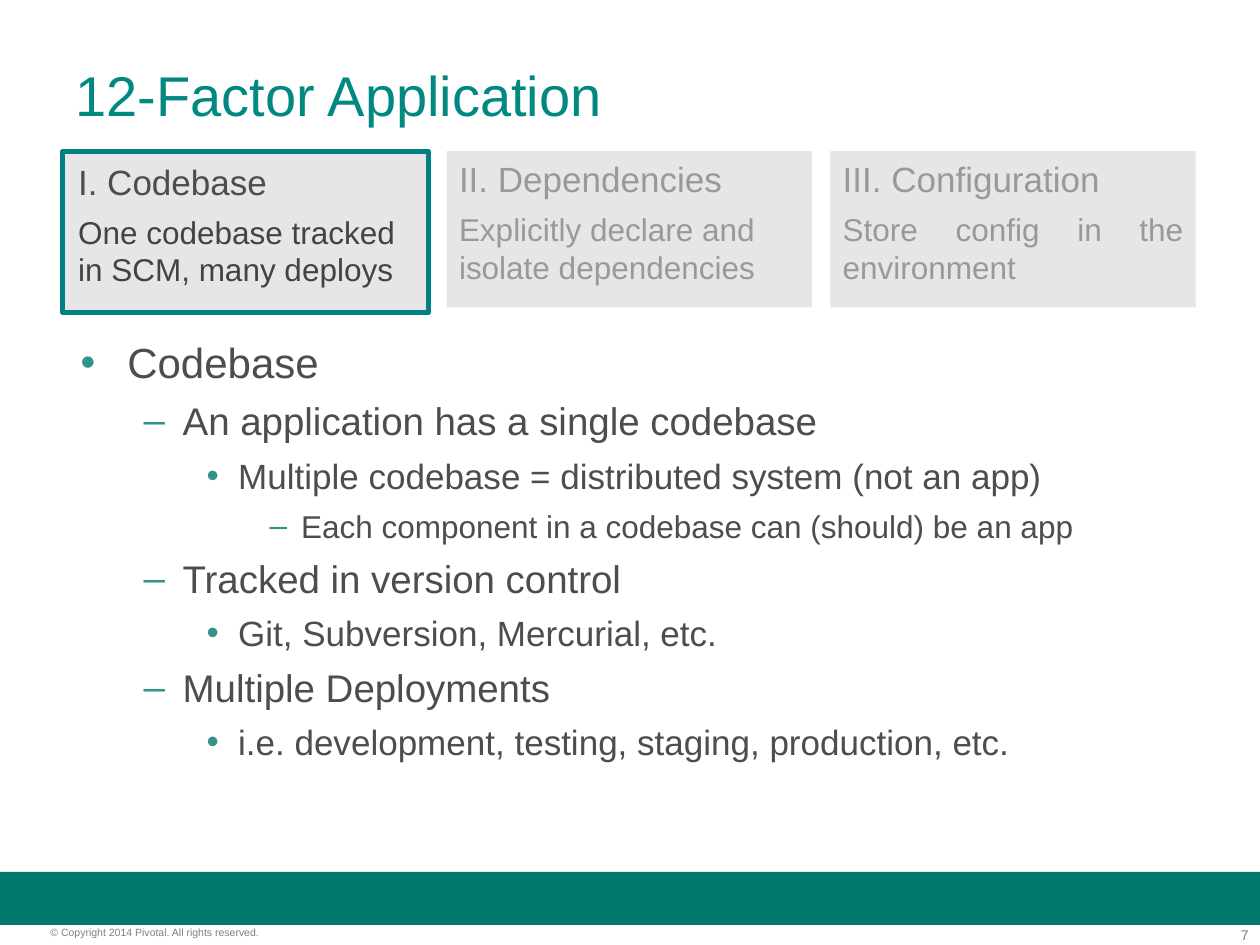
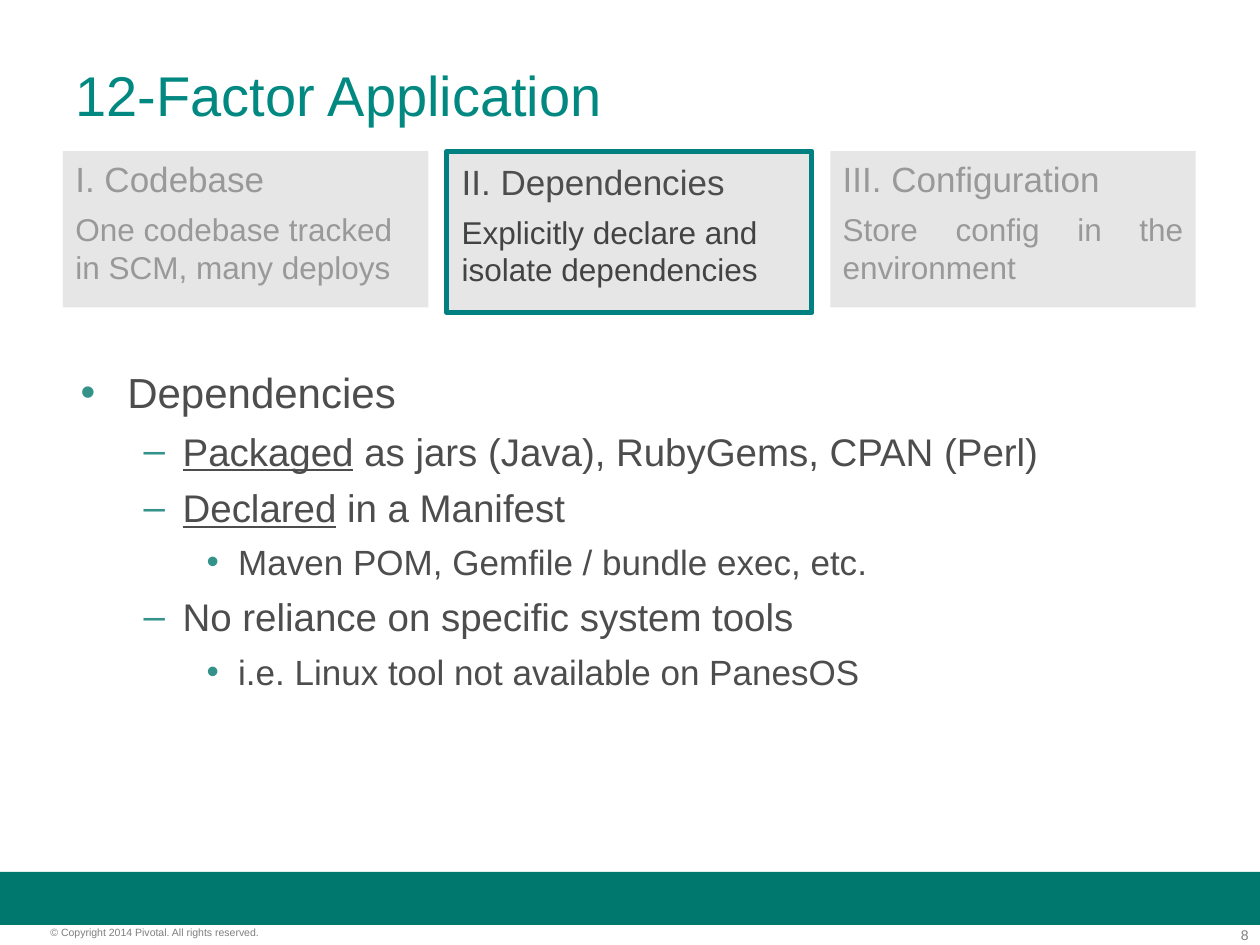
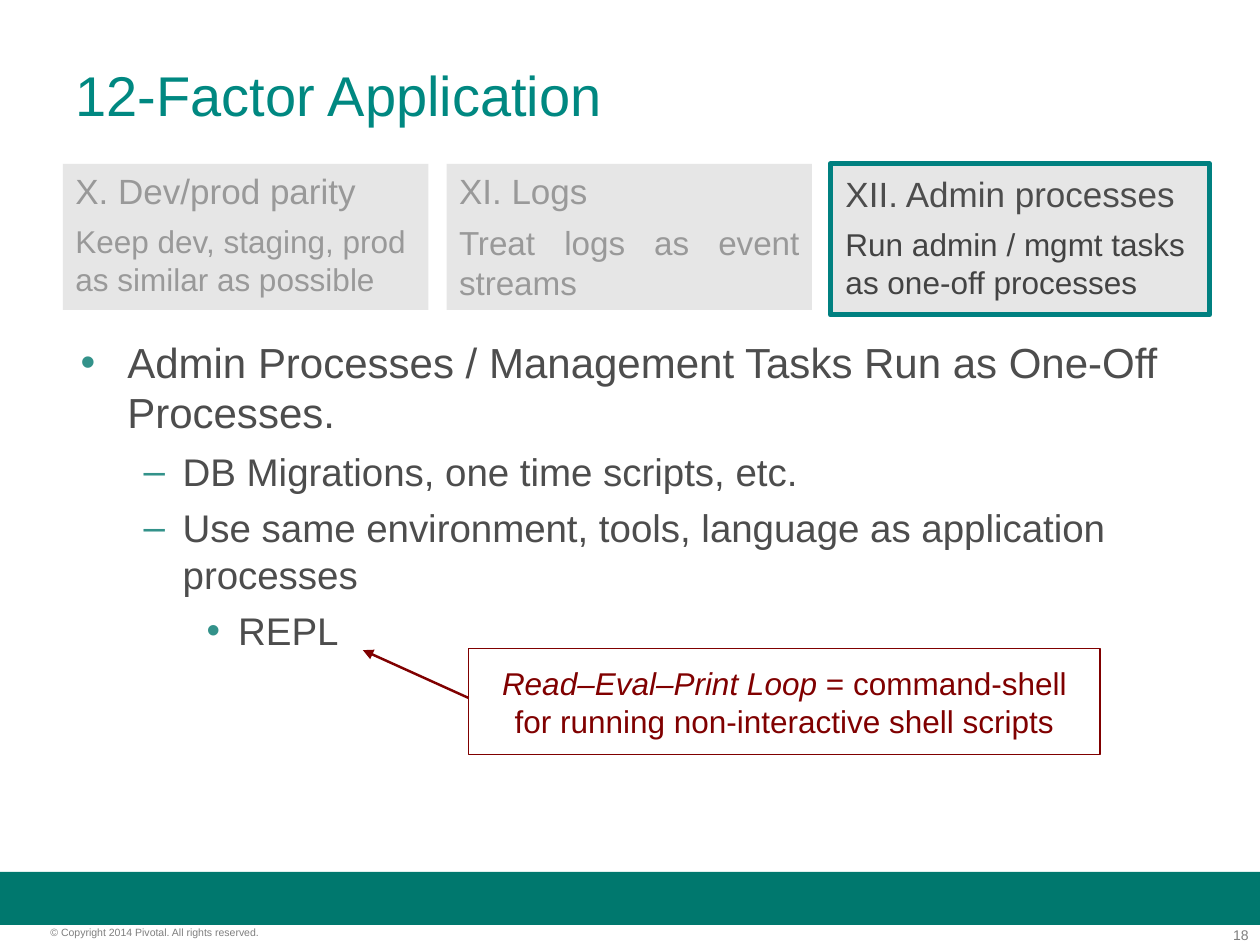
from lxml.etree import SubElement
from pptx import Presentation
from pptx.dml.color import RGBColor
from pptx.enum.shapes import MSO_CONNECTOR, MSO_SHAPE
from pptx.enum.text import MSO_ANCHOR, MSO_AUTO_SIZE, PP_ALIGN
from pptx.oxml.ns import qn
from pptx.util import Inches, Pt

COLORS = {
    "band": "00786E", "title": "008881", "bullet": "33928A", "text": "4D4D4D",
    "card": "E6E6E6", "border": "008080", "strong": "434343", "dim": "999999",
    "footer": "7F7F7F", "note": "800000", "white": "FFFFFF",
}
FONT = "Arial"
COLS, ROWS = 20, 15
CARD_PITCH, CARD_WIDTH = 6.09, 5.8
# Per list level: bullet, text size, left margin and hanging indent in inches
LEVELS = [("•", 24, 0.37, 0.37), ("–", 22, 0.81, 0.31),
          ("•", 20, 1.25, 0.25), ("–", 18, 1.75, 0.25)]


def rgb(name):
    return RGBColor.from_string(COLORS[name])


class Deck:
    """Holds the shared style and the current slide; lengths are grid units."""

    def __init__(self):
        self.prs = Presentation()
        self.prs.slide_width, self.prs.slide_height = Inches(10), Inches(7.5)
        self.slide = None

    def x(self, cols):
        return round(self.prs.slide_width * cols / COLS)

    def y(self, rows):
        return round(self.prs.slide_height * rows / ROWS)

    def box(self, col, row, width, height):
        return self.x(col), self.y(row), self.x(width), self.y(height)

    def place(self, sp, *area):
        sp.left, sp.top, sp.width, sp.height = self.box(*area)

    def frame(self, sp, inset=(0.1, 0.05), anchor=MSO_ANCHOR.TOP):
        tf = sp.text_frame
        tf.word_wrap, tf.auto_size = True, MSO_AUTO_SIZE.NONE
        tf.margin_left = tf.margin_right = Inches(inset[0])
        tf.margin_top = tf.margin_bottom = Inches(inset[1])
        tf.vertical_anchor = anchor
        return tf

    def add_text(self, p, parts, size, color, align=PP_ALIGN.LEFT):
        """Fill a paragraph with a string or with (text, style) pairs."""
        p.alignment = align
        for text, style in [(parts, "")] if isinstance(parts, str) else parts:
            r = p.add_run()
            r.text = text
            r.font.name, r.font.size = FONT, Pt(size)
            r.font.color.rgb = rgb(color)
            if style == "underline":
                r.font.underline = True
            elif style == "italic":
                r.font.italic = True

    def paragraphs(self, tf, items):
        for i, item in enumerate(items):
            yield (tf.add_paragraph() if i else tf.paragraphs[0]), item, i

    def shape(self, area, fill, line=None, width=0, kind=MSO_SHAPE.RECTANGLE):
        sp = self.slide.shapes.add_shape(kind, *self.box(*area))
        sp.shadow.inherit = False
        sp.fill.solid()
        sp.fill.fore_color.rgb = rgb(fill)
        if line:
            sp.line.color.rgb, sp.line.width = rgb(line), Pt(width)
        else:
            sp.line.fill.background()
        return sp

    def label(self, text, area, size, align=PP_ALIGN.LEFT):
        sp = self.slide.shapes.add_textbox(*self.box(*area))
        self.add_text(self.frame(sp, (0, 0)).paragraphs[0], text, size, "footer", align)

    def new_slide(self, title, number):
        self.slide = self.prs.slides.add_slide(self.prs.slide_layouts[1])
        sp = self.slide.shapes.title
        self.place(sp, 1, 0.6, 18, 1.8)
        tf = self.frame(sp, anchor=MSO_ANCHOR.MIDDLE)
        self.add_text(tf.paragraphs[0], title, 32, "title")
        self.shape((0, 13.84, COLS, 0.84), "band")
        self.label(str(number), (18.66, 14.7, 1.16, 0.26), 8, PP_ALIGN.RIGHT)
        self.label("© Copyright 2014 Pivotal. All rights reserved.",
                   (0.8, 14.7, 4.98, 0.2), 6)

    def bullets(self, row, height, items):
        """Items are (level, text) with an optional text size."""
        sp = self.slide.placeholders[1]
        self.place(sp, 1.08, row, 18, height)
        for p, (level, parts, *custom), i in self.paragraphs(self.frame(sp), items):
            char, size, margin, hang = LEVELS[level]
            pPr = p._p.get_or_add_pPr()
            pPr.set("marL", str(Inches(margin)))
            pPr.set("indent", str(-Inches(hang)))
            clr = SubElement(pPr, qn("a:buClr"))
            SubElement(clr, qn("a:srgbClr"), val=COLORS["bullet"])
            SubElement(pPr, qn("a:buFont"), typeface=FONT)
            SubElement(pPr, qn("a:buChar"), char=char)
            p.level = level
            p.space_before = Pt(6 if i else 0)
            self.add_text(p, parts, custom[0] if custom else size, "text")

    def cards(self, row, height, factors, active, active_width=CARD_WIDTH):
        """Factors are (heading, text, text size, alignment)."""
        for n, (heading, text, size, align) in enumerate(factors):
            on = n == active
            sp = self.shape((1 + n * CARD_PITCH, row, active_width if on else CARD_WIDTH,
                             height + 0.08 * on), "card", "border" if on else None, 2.89)
            tf = self.frame(sp, (0.12, 0.07) if on else (0.1, 0.05))
            lines = [(heading, 20, "text"), (text, size, "strong")]
            for p, (line, pt, color), i in self.paragraphs(tf, lines):
                p.space_before = Pt(6 if i else 0)
                self.add_text(p, line, pt, color if on else "dim", align)

    def callout(self, area, lines):
        sp = self.shape(area, "white", "note", 0.75, MSO_SHAPE.ROUNDED_RECTANGLE)
        sp.adjustments[0] = 0
        tf = self.frame(sp, anchor=MSO_ANCHOR.MIDDLE)
        for p, parts, _ in self.paragraphs(tf, lines):
            self.add_text(p, parts, 18, "note", PP_ALIGN.CENTER)

    def arrow(self, x1, y1, x2, y2):
        cx = self.slide.shapes.add_connector(
            MSO_CONNECTOR.STRAIGHT, self.x(x1), self.y(y1), self.x(x2), self.y(y2))
        cx.line.color.rgb, cx.line.width = rgb("note"), Pt(1.42)
        spPr = cx._element.spPr
        SubElement(spPr.find(qn("a:ln")), qn("a:tailEnd"), type="triangle")
        SubElement(spPr, qn("a:effectLst"))


TITLE = "12-Factor Application"
FIRST_FACTORS = [
    ("I. Codebase", "One codebase tracked in SCM, many deploys", 18, PP_ALIGN.LEFT),
    ("II. Dependencies", "Explicitly declare and isolate dependencies", 18, PP_ALIGN.LEFT),
    ("III. Configuration", "Store config in the environment", 18, PP_ALIGN.JUSTIFY),
]
LAST_FACTORS = [
    ("X. Dev/prod parity", "Keep dev, staging, prod as similar as possible", 18, PP_ALIGN.LEFT),
    ("XI. Logs", "Treat logs as event streams", 19, PP_ALIGN.JUSTIFY),
    ("XII. Admin processes", "Run admin / mgmt tasks as one-off processes", 18, PP_ALIGN.LEFT),
]


def main():
    deck = Deck()

    # Codebase
    deck.new_slide(TITLE, 7)
    deck.bullets(5.24, 7.94, [
        (0, "Codebase"),
        (1, "An application has a single codebase"),
        (2, "Multiple codebase = distributed system (not an app)"),
        (3, "Each component in a codebase can (should) be an app"),
        (1, "Tracked in version control"),
        (2, "Git, Subversion, Mercurial, etc."),
        (1, "Multiple Deployments"),
        (2, "i.e. development, testing, staging, production, etc."),
    ])
    deck.cards(2.4, 2.48, FIRST_FACTORS, active=0)

    # Dependencies
    deck.new_slide(TITLE, 8)
    deck.bullets(5.72, 6.34, [
        (0, "Dependencies"),
        (1, [("Packaged", "underline"), (" as jars (Java), RubyGems, CPAN (Perl)", "")]),
        (1, [("Declared", "underline"), (" in a Manifest", "")]),
        (2, "Maven POM, Gemfile / bundle exec, etc."),
        (1, "No reliance on specific system tools"),
        (2, "i.e. Linux tool not available on PanesOS"),
    ])
    deck.cards(2.4, 2.48, FIRST_FACTORS, active=1)

    # Admin processes
    deck.new_slide(TITLE, 18)
    deck.bullets(5.24, 6, [
        (0, "Admin Processes / Management Tasks Run as One-Off Processes."),
        (1, "DB Migrations, one time scripts, etc."),
        (1, "Use same environment, tools, language as application processes"),
        (2, "REPL", 22),
    ])
    deck.cards(2.6, 2.32, LAST_FACTORS, active=2, active_width=6.02)
    deck.callout((7.44, 10.3, 10.02, 1.68), [
        [("Read–Eval–Print Loop", "italic"), (" = command-shell", "")],
        "for running non-interactive shell scripts",
    ])
    deck.arrow(7.44, 11.08, 5.76, 10.32)

    deck.prs.save("out.pptx")


if __name__ == "__main__":
    main()
